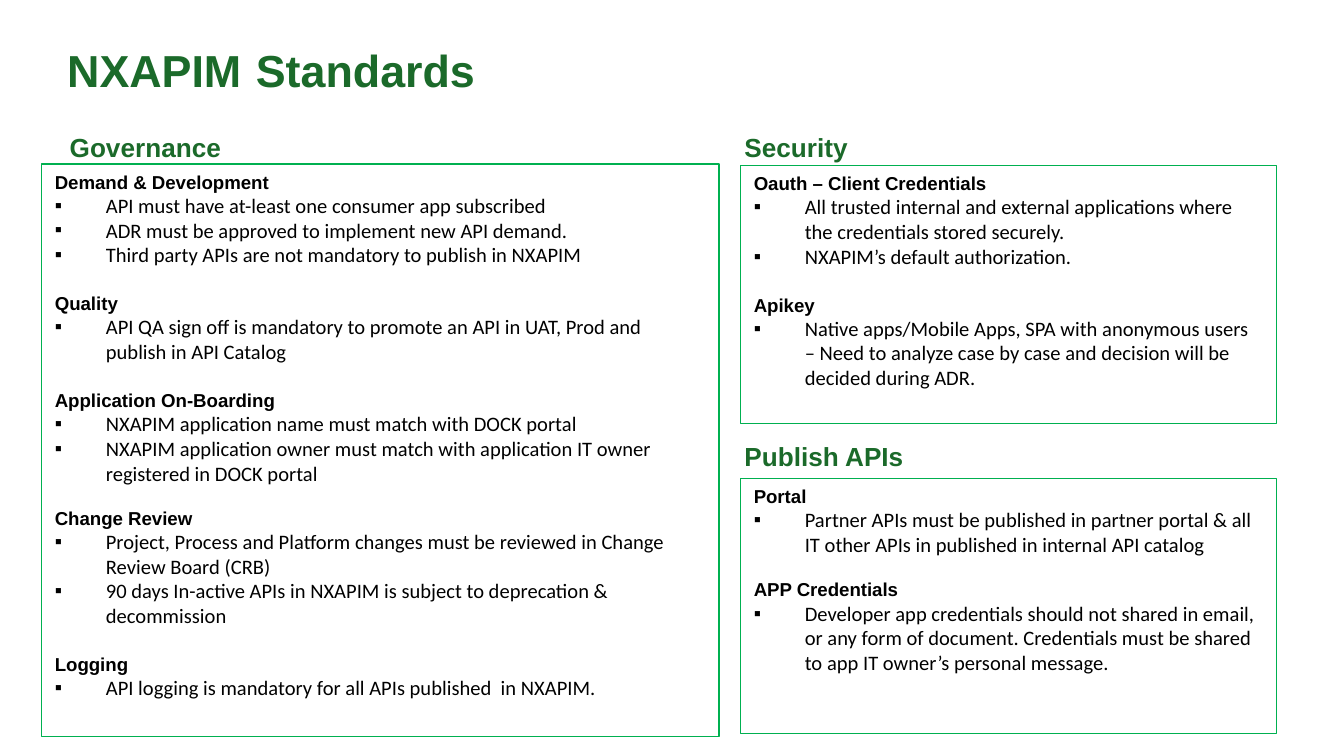
from dataclasses import dataclass

from lxml.etree import SubElement
from pptx import Presentation
from pptx.dml.color import RGBColor
from pptx.enum.shapes import MSO_SHAPE
from pptx.enum.text import MSO_ANCHOR, PP_ALIGN
from pptx.oxml.ns import qn
from pptx.util import Pt

GREEN = "1B6A2A"
BORDER = "00B050"
BLACK = "000000"
BULLET_INDENT = 27.36
WIDE_GAP = 13.4
NARROW_GAP = 11.5


@dataclass
class Topic:
    heading: str
    rules: list[str]
    gap: float = 0


@dataclass
class Panel:
    title: str
    title_left: float
    title_top: float
    left: float
    top: float
    width: float
    height: float
    topics: list[Topic]


PANELS = [
    Panel("Governance", 30.24, 66.96, 22.32, 87.84, 362.88, 306.72, [
        Topic("Demand & Development", [
            "API must have at-least one consumer app subscribed",
            "ADR must be approved to implement new API demand.",
            "Third party APIs are not mandatory to publish in NXAPIM",
        ]),
        Topic("Quality", [
            "API QA sign off is mandatory to promote an API in UAT, Prod and publish in API Catalog",
        ], WIDE_GAP),
        Topic("Application On-Boarding", [
            "NXAPIM application name must match with DOCK portal",
            "NXAPIM application owner must match with application IT owner registered in DOCK portal",
        ], WIDE_GAP),
        Topic("Change Review", [
            "Project, Process and Platform changes must be reviewed in Change Review Board (CRB)",
            "90 days In-active APIs in NXAPIM is subject to deprecation & decommission",
        ], NARROW_GAP),
        Topic("Logging", [
            "API logging is mandatory for all APIs published  in NXAPIM.",
        ], WIDE_GAP),
    ]),
    Panel("Security", 391.68, 66.96, 396.72, 88.56, 287.28, 138.24, [
        Topic("Oauth – Client Credentials", [
            "All trusted internal and external applications where the credentials stored securely.",
            "NXAPIM’s default authorization.",
        ]),
        Topic("Apikey", [
            "Native apps/Mobile Apps, SPA with anonymous users – Need to analyze case by case "
            "and decision will be decided during ADR.",
        ], WIDE_GAP),
    ]),
    Panel("Publish APIs", 391.68, 232.56, 396.72, 256.32, 287.28, 136.8, [
        Topic("Portal", [
            "Partner APIs must be published in partner portal & all IT other APIs in published "
            "in internal API catalog",
        ]),
        Topic("APP Credentials", [
            "Developer app credentials should not shared in email, or any form of document. "
            "Credentials must be shared to app IT owner’s personal message.",
        ], NARROW_GAP),
    ]),
]


def color(value: str) -> RGBColor:
    return RGBColor.from_string(value)


def format_run(run, size: float, font: str, fill: str, bold: bool) -> None:
    run.font.size = Pt(size)
    run.font.name = font
    run.font.bold = bold
    run.font.color.rgb = color(fill)


def add_bullet(paragraph) -> None:
    """Give the paragraph a square bullet with a hanging indent."""
    properties = paragraph._p.get_or_add_pPr()
    properties.set("marL", str(Pt(BULLET_INDENT)))
    properties.set("indent", str(-Pt(BULLET_INDENT)))
    SubElement(properties, qn("a:buFont"), typeface="Arial")
    SubElement(properties, qn("a:buChar"), char="▪")


def draw_title(slide) -> None:
    text_frame = slide.shapes.add_textbox(Pt(36), Pt(16.56), Pt(648), Pt(42.48)).text_frame
    text_frame.word_wrap = True
    text_frame.margin_left = text_frame.margin_right = 0
    text_frame.margin_top = text_frame.margin_bottom = 0
    text_frame.vertical_anchor = MSO_ANCHOR.MIDDLE
    paragraph = text_frame.paragraphs[0]
    paragraph.line_spacing = 0.9
    for text, size, fill, bold in (
        ("NXAPIM", 24, GREEN, True),
        (" ", 28, "595959", False),
        ("Standards", 24, GREEN, True),
    ):
        run = paragraph.add_run()
        run.text = text
        format_run(run, size, "Arial", fill, bold)


def draw_panel_title(slide, panel: Panel) -> None:
    text_box = slide.shapes.add_textbox(
        Pt(panel.title_left), Pt(panel.title_top), Pt(192.96), Pt(24.48))
    text_box.text_frame.word_wrap = True
    text_box.text_frame.text = panel.title
    format_run(text_box.text_frame.paragraphs[0].runs[0], 14, "Arial", GREEN, True)


def draw_panel_box(slide, panel: Panel) -> None:
    shape = slide.shapes.add_shape(
        MSO_SHAPE.RECTANGLE, Pt(panel.left), Pt(panel.top), Pt(panel.width), Pt(panel.height))
    shape.shadow.inherit = False
    shape.fill.background()
    shape.line.color.rgb = color(BORDER)
    shape.line.width = Pt(0.75)
    text_frame = shape.text_frame
    text_frame.word_wrap = True
    text_frame.vertical_anchor = MSO_ANCHOR.TOP
    lines = [line for topic in panel.topics for line in (topic.heading, *topic.rules)]
    text_frame.text = "\n".join(lines)
    paragraphs = iter(text_frame.paragraphs)
    for topic in panel.topics:
        heading = next(paragraphs)
        heading.alignment = PP_ALIGN.LEFT
        heading.space_before = Pt(topic.gap)
        format_run(heading.runs[0], 10, "Arial", BLACK, True)
        for _ in topic.rules:
            paragraph = next(paragraphs)
            paragraph.alignment = PP_ALIGN.LEFT
            add_bullet(paragraph)
            format_run(paragraph.runs[0], 11, "Calibri", BLACK, False)


def main() -> None:
    presentation = Presentation()
    presentation.slide_width = Pt(720)
    presentation.slide_height = Pt(405)
    slide = presentation.slides.add_slide(presentation.slide_layouts[6])
    draw_title(slide)
    for panel in PANELS:
        draw_panel_title(slide, panel)
        draw_panel_box(slide, panel)
    presentation.save("out.pptx")


if __name__ == "__main__":
    main()
